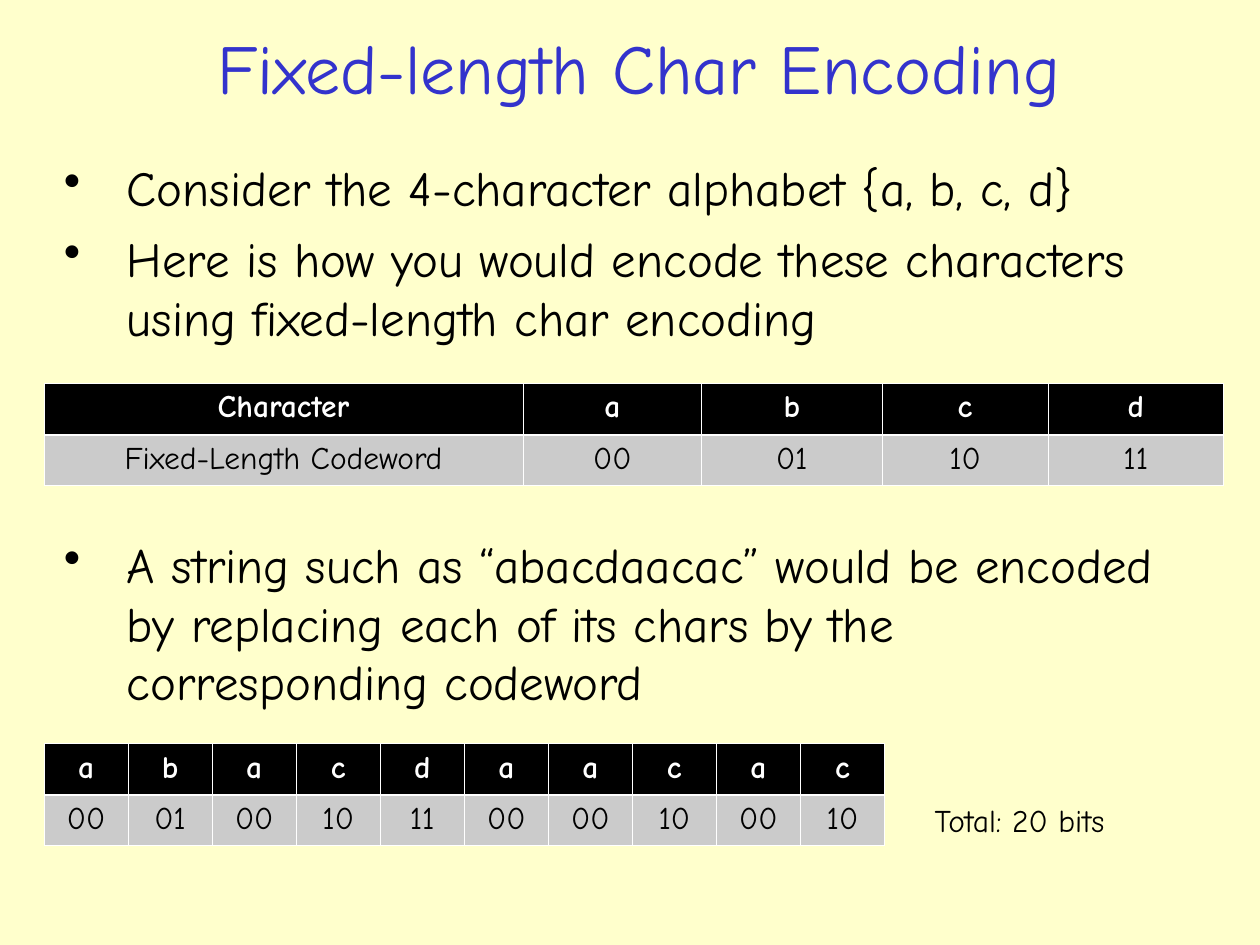
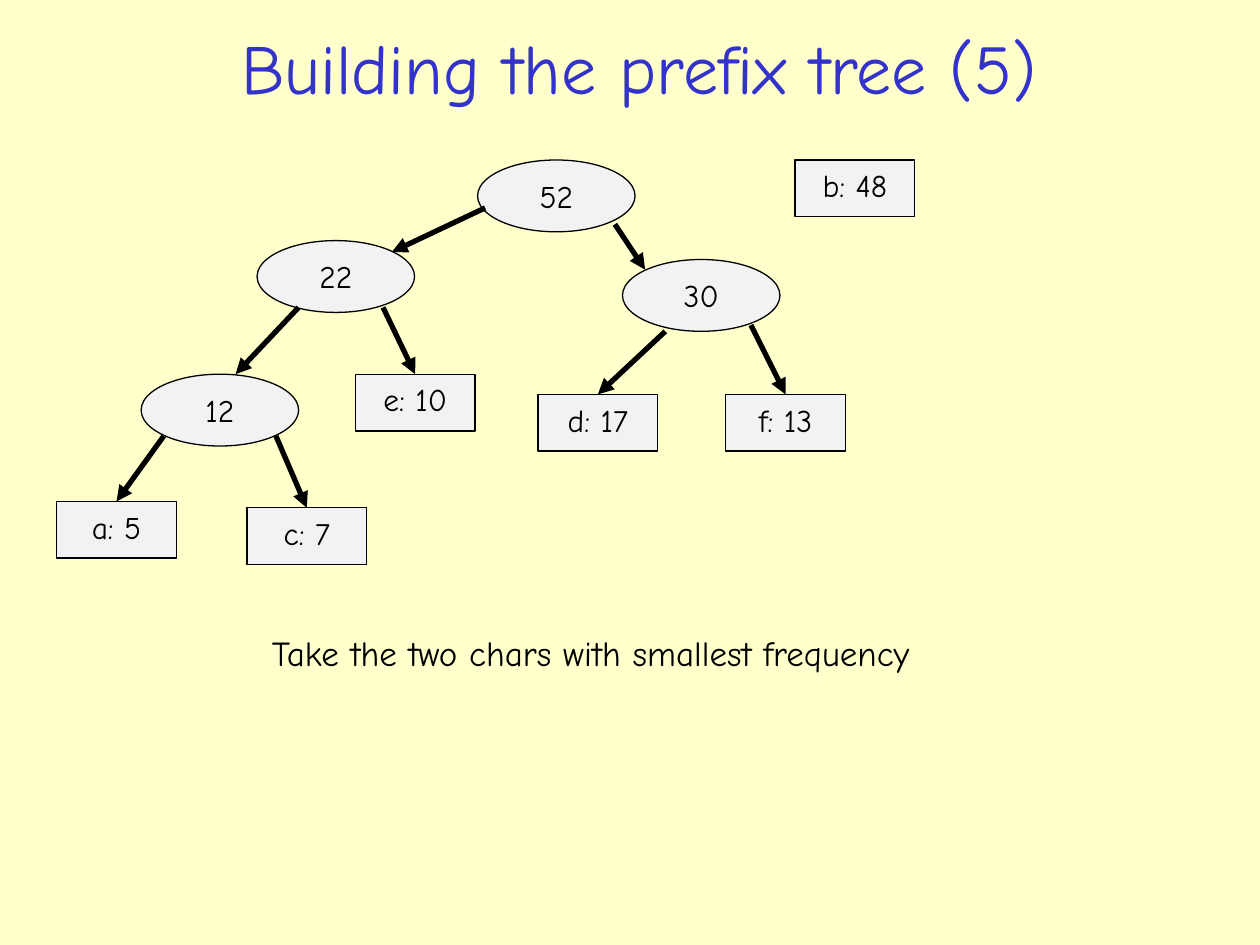
from collections import namedtuple
from dataclasses import dataclass

from lxml.etree import SubElement
from pptx import Presentation
from pptx.dml.color import RGBColor
from pptx.enum.shapes import MSO_CONNECTOR, MSO_SHAPE
from pptx.enum.text import MSO_ANCHOR, PP_ALIGN
from pptx.oxml.ns import qn
from pptx.util import Inches, Pt

Box = namedtuple("Box", "left top width height")
Node = namedtuple("Node", "left top label")
Edge = namedtuple("Edge", "start end leaf")


@dataclass(frozen=True)
class Theme:
    font: str = "Comic Neue"
    paper: str = "FFFFCC"
    heading: str = "3333CC"
    ink: str = "000000"
    white: str = "FFFFFF"
    codeword_fill: str = "CBCBCB"
    node_fill: str = "F2F2F2"
    title_size: int = 40
    body_size: int = 28
    note_size: int = 20
    label_size: int = 18
    outline: float = 0.75
    arrow: float = 3
    thin_rule: float = 0.45
    thick_rule: float = 1.47


THEME = Theme()
TITLE_BOX = Box(0.3, 0.15, 9.54, 0.76)
LEAF_SIZE = (0.95, 0.45)
INNER_SIZE = (1.25, 0.57)
CODEWORDS = {"a": "00", "b": "01", "c": "10", "d": "11"}
MESSAGE = "abacdaacac"

LEAVES = [
    Node(5.86, 0, "b: 48"),
    Node(3.82, 1.86, "d: 17"),
    Node(5.31, 1.86, "f: 13"),
    Node(0, 2.71, "a: 5"),
    Node(1.51, 2.76, "c: 7"),
    Node(2.37, 1.7, "e: 10"),
]
INNER_NODES = [
    Node(4.49, 0.79, "30"),
    Node(0.67, 1.7, "12"),
    Node(1.59, 0.64, "22"),
    Node(3.34, 0, "52"),
]
EDGES = [
    Edge((4.83, 1.36), (4.33, 1.88), "d: 17"),
    Edge((5.51, 1.31), (5.76, 1.88), "f: 13"),
    Edge((0.85, 2.19), (0.44, 2.72), "a: 5"),
    Edge((1.74, 2.19), (1.98, 2.76), "c: 7"),
    Edge((1.92, 1.17), (1.42, 1.7), None),
    Edge((2.59, 1.17), (2.84, 1.75), "e: 10"),
    Edge((3.4, 0.38), (2.66, 0.73), None),
    Edge((4.43, 0.51), (4.67, 0.87), None),
]


def apply_format(target, values):
    for name, value in values.items():
        setattr(target, name, value)


def inches(*lengths):
    return [Inches(length) for length in lengths]


def write(para, text, size, color=THEME.ink, align=PP_ALIGN.LEFT, bold=False):
    para.alignment = align
    span = para.add_run()
    span.text = text
    apply_format(span.font, {"name": THEME.font, "size": Pt(size), "bold": bold})
    span.font.color.rgb = RGBColor.from_string(color)


def add_page(deck, title):
    page = deck.slides.add_slide(deck.slide_layouts[6])
    page.background.fill.solid()
    page.background.fill.fore_color.rgb = RGBColor.from_string(THEME.paper)
    frame = page.shapes.add_textbox(*inches(*TITLE_BOX)).text_frame
    apply_format(frame, {"word_wrap": True, "vertical_anchor": MSO_ANCHOR.MIDDLE})
    write(frame.paragraphs[0], title, THEME.title_size, THEME.heading, PP_ALIGN.CENTER)
    return page


def add_note(page, box, text, size):
    frame = page.shapes.add_textbox(*inches(*box)).text_frame
    frame.word_wrap = False
    write(frame.paragraphs[0], text, size)


def add_bullets(page, box, texts):
    frame = page.shapes.add_textbox(*inches(*box)).text_frame
    frame.word_wrap = True
    for index, text in enumerate(texts):
        para = frame.add_paragraph() if index else frame.paragraphs[0]
        write(para, text, THEME.body_size)
        para.space_before = Pt(7)
        properties = para._p.get_or_add_pPr()
        properties.set("marL", str(Inches(0.56)))
        properties.set("indent", str(Inches(-0.5)))
        SubElement(properties, qn("a:buChar"), char="•")


def add_cell_borders(cell, is_header):
    properties = cell._tc.get_or_add_tcPr()
    thick_side = "B" if is_header else "T"
    for side in "LRTB":
        width = THEME.thick_rule if side == thick_side else THEME.thin_rule
        rule = SubElement(properties, qn(f"a:ln{side}"), w=str(Pt(width)))
        fill = SubElement(rule, qn("a:solidFill"))
        SubElement(fill, qn("a:srgbClr"), val=THEME.white)


def add_code_table(page, box, rows, widths):
    frame = page.shapes.add_table(len(rows), len(widths), *inches(*box))
    table = frame.table
    table.horz_banding = False
    for column, width in zip(table.columns, widths):
        column.width = Inches(width)
    for row_index, texts in enumerate(rows):
        is_header = row_index == 0
        table.rows[row_index].height = Inches(0.41 if is_header else 0.4)
        fill = THEME.ink if is_header else THEME.codeword_fill
        color = THEME.white if is_header else THEME.ink
        for column_index, text in enumerate(texts):
            cell = table.cell(row_index, column_index)
            add_cell_borders(cell, is_header)
            cell.fill.solid()
            cell.fill.fore_color.rgb = RGBColor.from_string(fill)
            write(cell.text_frame.paragraphs[0], text, THEME.label_size, color,
                  PP_ALIGN.CENTER, is_header)


def add_node(page, box, node, kind, size):
    shape = page.shapes.add_shape(
        kind, *inches(box.left + node.left, box.top + node.top, *size))
    shape.shadow.inherit = False
    shape.fill.solid()
    shape.fill.fore_color.rgb = RGBColor.from_string(THEME.node_fill)
    shape.line.color.rgb = RGBColor.from_string(THEME.ink)
    shape.line.width = Pt(THEME.outline)
    apply_format(shape.text_frame, {"word_wrap": True, "vertical_anchor": MSO_ANCHOR.TOP})
    write(shape.text_frame.paragraphs[0], node.label, THEME.label_size,
          align=PP_ALIGN.CENTER)
    return shape


def add_arrow(page, box, edge, leaves):
    ends = [origin + offset for point in (edge.start, edge.end)
            for origin, offset in zip((box.left, box.top), point)]
    arrow = page.shapes.add_connector(MSO_CONNECTOR.STRAIGHT, *inches(*ends))
    arrow.line.color.rgb = RGBColor.from_string(THEME.ink)
    arrow.line.width = Pt(THEME.arrow)
    properties = arrow.element.spPr
    SubElement(properties.find(qn("a:ln")), qn("a:tailEnd"), type="triangle")
    SubElement(properties, qn("a:effectLst"))
    if edge.leaf:
        arrow.end_connect(leaves[edge.leaf], 0)


def add_prefix_tree(page, box):
    leaves = {node.label: add_node(page, box, node, MSO_SHAPE.RECTANGLE, LEAF_SIZE)
              for node in LEAVES}
    for node in INNER_NODES:
        add_node(page, box, node, MSO_SHAPE.OVAL, INNER_SIZE)
    for edge in EDGES:
        add_arrow(page, box, edge, leaves)


def build_encoding_page(deck):
    page = add_page(deck, "Fixed-length Char Encoding")
    add_bullets(page, Box(0.35, 1.2, 9.26, 1.93), [
        "Consider the 4-character alphabet {a, b, c, d}",
        "Here is how you would encode these characters using fixed-length char encoding",
    ])
    add_code_table(page, Box(0.35, 3.04, 9.36, 0.81), [
        ["Character", *CODEWORDS],
        ["Fixed-Length Codeword", *CODEWORDS.values()],
    ], [3.8, 1.42, 1.43, 1.32, 1.39])
    add_bullets(page, Box(0.35, 4.19, 9.26, 1.78), [
        f"A string such as “{MESSAGE}” would be encoded by replacing each of its "
        "chars by the corresponding codeword",
    ])
    add_code_table(page, Box(0.35, 5.9, 6.67, 0.81), [
        list(MESSAGE),
        [CODEWORDS[letter] for letter in MESSAGE],
    ], [6.67 / len(MESSAGE)] * len(MESSAGE))
    add_note(page, Box(7.32, 6.31, 1.58, 0.4), "Total: 20 bits", THEME.label_size)


def build_tree_page(deck):
    page = add_page(deck, "Building the prefix tree (5)")
    add_prefix_tree(page, Box(0.45, 1.27, 6.81, 3.21))
    add_note(page, Box(2.06, 4.96, 5.3, 0.44),
             "Take the two chars with smallest frequency", THEME.note_size)


def main():
    deck = Presentation()
    apply_format(deck, {"slide_width": Inches(10), "slide_height": Inches(7.5)})
    build_encoding_page(deck)
    build_tree_page(deck)
    deck.save("out.pptx")


if __name__ == "__main__":
    main()
